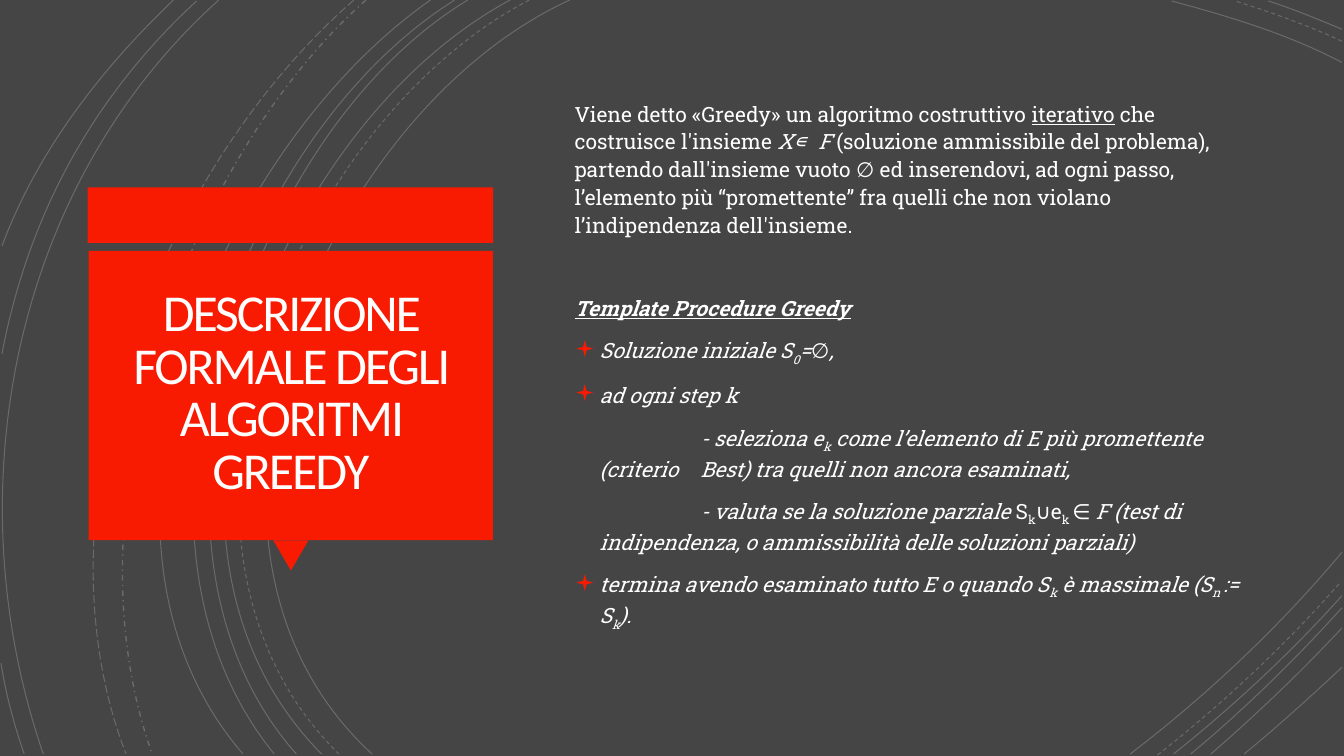
"""Build the slide that describes greedy algorithms formally."""
from lxml.etree import SubElement as Sub
from pptx import Presentation
from pptx.dml.color import RGBColor as Rgb
from pptx.enum.dml import MSO_LINE as Dash
from pptx.enum.shapes import MSO_SHAPE as Kind
from pptx.enum.text import MSO_ANCHOR as Anchor, MSO_AUTO_SIZE as Fit, PP_ALIGN as Align
from pptx.oxml.ns import qn
from pptx.util import Inches, Pt

RED, WHITE, GREY = "F81B02", "FFFFFF", "454545"

CURVES = [
    (5.65, 0, 3.15, 1.15, 1.43, 5.4, 3.69, 7.48),
    (13.31, 0.62, 12.78, 0.34, 12.18, 0.16, 11.62, 0.01),
    (11.21, 7.48, 11.97, 6.9, 12.69, 6.22, 13.31, 5.48),
    (5.06, 0, 2.7, 1.27, 1.1, 5.37, 3.19, 7.48),
    (13.31, 0.29, 13.07, 0.19, 12.83, 0.09, 12.58, 0.01),
    (11.64, 7.48, 12.23, 7.01, 12.8, 6.48, 13.31, 5.91),
    (4.64, 0, 2.44, 1.33, 1.1, 5.41, 2.94, 7.48),
    (11.81, 7.48, 12.34, 7.04, 12.84, 6.55, 13.31, 6.03),
    (4.51, 0, 2.31, 1.38, 0.97, 5.33, 2.72, 7.48),
    (12.01, 7.48, 12.46, 7.09, 12.9, 6.67, 13.31, 6.23),
    (4.27, 0, 2.17, 1.47, 0.53, 5.29, 2.41, 7.48),
    (12.34, 7.48, 12.67, 7.21, 12.99, 6.92, 13.31, 6.62),
    (2.17, 0, 0.11, 1.85, -0.46, 4.9, 0.43, 7.48),
    (1.95, 0.01, 0.92, 0.96, 0.28, 2.14, 0.02, 3.51),
    (0.01, 6.58, 0.06, 6.89, 0.14, 7.19, 0.24, 7.48),
    (1.72, 0, 1, 0.69, 0.37, 1.5, 0.02, 2.44),
]
DASHED = [
    ((5.25, 0, 2.85, 1.25, 1.23, 5.37, 3.36, 7.48), Dash.DASH, 0.75),
    ((13.31, 0.41, 12.97, 0.25, 12.6, 0.12, 12.25, 0.01), Dash.DASH, 0.75),
    ((11.48, 7.49, 12.13, 6.98, 12.75, 6.4, 13.3, 5.77), Dash.DASH, 0.75),
    ((3.63, 0, 1.76, 1.66, 0.65, 5.09, 1.51, 7.48), Dash.DASH_DOT, 1),
    ((3.51, 0, 1.57, 1.69, 0.29, 4.99, 1.25, 7.48), Dash.LONG_DASH, 0.75),
]

PLAIN = {"left": 0, "first": 0, "gap": 0}
HEAD = {"left": 0, "first": 0, "gap": 40}
POINT = {"left": 0.25, "first": -0.25, "gap": 10, "mark": "▪"}
STEP = {"left": 0.25, "first": 1, "gap": 10}

BODY = [
    (PLAIN, [("Viene detto «Greedy» un algoritmo costruttivo ", ""), ("iterativo", "u"),
             (" che costruisce l'insieme ", ""), ("X", "i"), ("∊ ", "im"), ("F", "i"),
             (" (soluzione ammissibile del problema), partendo dall'insieme vuoto ", ""),
             ("∅", "i"),
             (" ed inserendovi, ad ogni passo, l’elemento più “promettente” fra quelli "
              "che non violano l’indipendenza dell'insieme.", "")]),
    (HEAD, [("Template Procedure Greedy", "biu")]),
    (POINT, [("Soluzione iniziale S", "i"), ("0", "is"), ("=∅,", "i")]),
    (POINT, [("ad ogni step k", "i")]),
    (STEP, [("- seleziona e", "i"), ("k", "is"),
            (" come l’elemento di E più promettente (criterio \tBest) "
             "tra quelli non ancora esaminati,", "i")]),
    (STEP, [("- valuta se la soluzione parziale ", "i"), ("S", ""), ("k", "s"),
            ("∪e", ""), ("k ", "s"),
            ("∈ F (test di indipendenza, o ammissibilità delle soluzioni parziali)", "i")]),
    (POINT, [("termina avendo esaminato tutto E o quando S", "i"), ("k", "is"),
             (" è massimale (S", "i"), ("n ", "is"), (":= S", "i"), ("k", "is"),
             (").", "i")]),
]


def paint(color, tone):
    color.rgb = Rgb.from_string(tone)


def apply(item, values):
    for name, value in values.items():
        setattr(item, name, value)


class Deck:
    """Hold the style and the current slide, and draw each kind of element."""

    def __init__(self):
        self.show = Presentation()
        apply(self.show, {"slide_width": Inches(13.33), "slide_height": Inches(7.5)})
        self.slide = self.show.slides.add_slide(self.show.slide_layouts[5])
        self.slide.background.fill.solid()
        paint(self.slide.background.fill.fore_color, GREY)

    def curve(self, ends, dash=Dash.SOLID, width=0.75):
        dots = list(zip(map(Inches, ends[::2]), map(Inches, ends[1::2])))
        pen = self.slide.shapes.build_freeform(*dots[0])
        pen.add_line_segments(dots[1:], close=False)
        arc = pen.convert_to_shape()
        route = next(arc.element.iter(qn("a:path")))
        legs = route.findall(qn("a:lnTo"))
        bend = Sub(route, qn("a:cubicBezTo"))
        for leg in legs:
            bend.append(leg[0])
            route.remove(leg)
        arc.shadow.inherit = False
        arc.fill.background()
        paint(arc.line.color, WHITE)
        apply(arc.line, {"width": Pt(width), "dash_style": dash})
        tone = next(arc.element.spPr.iter(qn("a:srgbClr")))
        Sub(tone, qn("a:alpha"), val="20000")

    def block(self, kind, box, tone=RED, turn=0):
        form = self.slide.shapes.add_shape(kind, *map(Inches, box))
        form.shadow.inherit = False
        form.rotation = turn
        form.fill.solid()
        paint(form.fill.fore_color, tone)
        form.line.fill.background()

    def title(self, text, box):
        head = self.slide.shapes.title
        head.element.getparent().append(head.element)
        apply(head, dict(zip(("left", "top", "width", "height"), map(Inches, box))))
        frame = head.text_frame
        apply(frame, {"word_wrap": True, "auto_size": Fit.NONE,
                      "vertical_anchor": Anchor.MIDDLE})
        apply(frame, {"margin_" + side: Inches(0.25)
                      for side in ("left", "top", "right", "bottom")})
        para = frame.paragraphs[0]
        apply(para, {"alignment": Align.CENTER, "line_spacing": 0.85})
        run = para.add_run()
        run.text = text
        apply(run.font, {"name": "Calibri", "size": Pt(37), "bold": False})
        paint(run.font.color, "FFFEFF")
        run._r.get_or_add_rPr().set("spc", "-150")

    def bullet(self, para, mark):
        props = para._p.get_or_add_pPr()
        Sub(Sub(props, qn("a:buClr")), qn("a:srgbClr"), val=RED)
        Sub(props, qn("a:buSzPct"), val="110000")
        Sub(props, qn("a:buFont"), typeface="Wingdings")
        Sub(props, qn("a:buChar"), char=mark)

    def body(self, items, box):
        frame = self.slide.shapes.add_textbox(*map(Inches, box)).text_frame
        apply(frame, {"word_wrap": True, "vertical_anchor": Anchor.TOP,
                      "margin_top": Inches(0.1)})
        for rank, (style, runs) in enumerate(items):
            para = frame.add_paragraph() if rank else frame.paragraphs[0]
            props = para._p.get_or_add_pPr()
            props.set("marL", str(Inches(style["left"])))
            props.set("indent", str(Inches(style["first"])))
            if "mark" in style:
                self.bullet(para, style["mark"])
            apply(para, {"line_spacing": 1.1, "space_before": Pt(style["gap"])})
            for text, flags in runs:
                self.run(para, text, flags)

    def run(self, para, text, flags):
        run = para.add_run()
        run.text = text
        apply(run.font, {"name": "Noto Sans Mono" if "m" in flags else "Roboto Slab",
                         "size": Pt(15), "bold": "b" in flags,
                         "italic": "i" in flags, "underline": "u" in flags})
        paint(run.font.color, WHITE)
        if "s" in flags:
            run._r.get_or_add_rPr().set("baseline", "-25000")


def main():
    deck = Deck()
    deck.block(Kind.RECTANGLE, (0, 0, 13.33, 7.48), GREY)
    for ends in CURVES:
        deck.curve(ends)
    for ends, dash, width in DASHED:
        deck.curve(ends, dash, width)
    deck.block(Kind.RECTANGLE, (0.87, 1.86, 4.02, 0.55))
    deck.block(Kind.ISOSCELES_TRIANGLE, (2.71, 5.36, 0.35, 0.3), turn=180)
    deck.block(Kind.RECTANGLE, (0.88, 2.49, 4.01, 2.87))
    deck.title("DESCRIZIONE FORMALE DEGLI ALGORITMI GREEDY", (0.97, 2.57, 3.83, 2.69))
    deck.body(BODY, (5.6, 0.88, 6.87, 5.74))
    deck.show.save("out.pptx")


if __name__ == "__main__":
    main()
